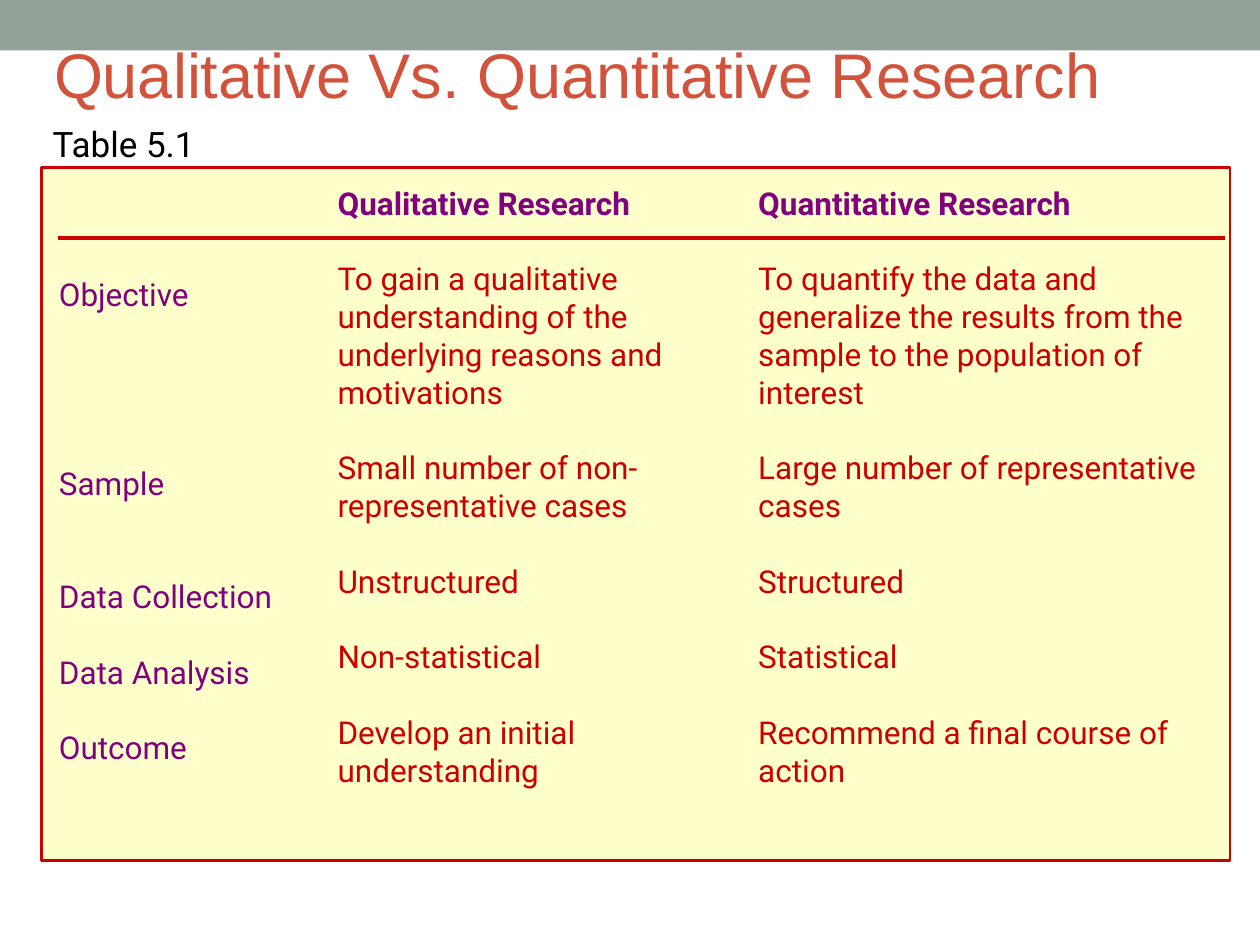
import pptx
import pptx.util
import pptx.dml.color
import pptx.enum.shapes
import pptx.enum.text
from lxml import etree

Pt = pptx.util.Pt

COLORS = {
    "band": "93A299", "title": "D2533C", "panel": "FFFFCC",
    "red": "CC0000", "purple": "800080", "black": "000000",
}
TITLE = "Qualitative Vs. Quantitative Research"
CAPTION = "Table 5.1"
HEADINGS = ("Qualitative Research", "Quantitative Research")
# aspect, qualitative, quantitative, lines the row takes with its gap
ROWS = [
    ("Objective",
     "To gain a qualitative understanding of the underlying reasons and motivations",
     "To quantify the data and generalize the results from the sample to the population of interest", 5),
    ("Sample", "Small number of non-representative cases",
     "Large number of representative cases", 3),
    ("Data Collection", "Unstructured", "Structured", 2),
    ("Data Analysis", "Non-statistical", "Statistical", 2),
    ("Outcome", "Develop an initial understanding", "Recommend a final course of action", 2),
]
LINE_HEIGHT = 21.6
COLUMNS = [(185.8, 265.7), (426.2, 281.5)]  # left, width
COLUMN_TOP, COLUMN_HEIGHT = 101.5, 352.8


def rgb(name):
    return pptx.dml.color.RGBColor.from_string(COLORS[name])


def add_box(slide, left, top, width, height, fill, line=None):
    box = slide.shapes.add_shape(pptx.enum.shapes.MSO_SHAPE.RECTANGLE,
                                 Pt(left), Pt(top), Pt(width), Pt(height))
    box.shadow.inherit = False
    box.fill.solid()
    box.fill.fore_color.rgb = rgb(fill)
    if line:
        box.line.color.rgb = rgb(line)
        box.line.width = Pt(1.5)
    else:
        box.line.fill.background()


def add_text(slide, left, top, width, height, entries, size=18, font="Roboto", wrap=True):
    """Each entry is (text, colour, bold, space before in points)."""
    frame = slide.shapes.add_textbox(Pt(left), Pt(top), Pt(width), Pt(height)).text_frame
    frame.word_wrap = wrap
    for index, (text, color, bold, gap) in enumerate(entries):
        paragraph = frame.paragraphs[0] if index == 0 else frame.add_paragraph()
        paragraph.text = text
        paragraph.space_before = Pt(gap)
        paragraph.font.name = font
        paragraph.font.size = Pt(size)
        paragraph.font.bold = bold
        paragraph.font.color.rgb = rgb(color)
    return frame


def add_rule(slide, left, right, y):
    rule = slide.shapes.add_connector(pptx.enum.shapes.MSO_CONNECTOR.STRAIGHT,
                                      Pt(left), Pt(y), Pt(right), Pt(y))
    rule.line.color.rgb = rgb("red")
    rule.line.width = Pt(2)
    etree.SubElement(rule.line._get_or_add_ln().getparent(),
                     pptx.oxml.ns.qn("a:effectLst"))


def main():
    deck = pptx.Presentation()
    deck.slide_width, deck.slide_height = Pt(720), Pt(540)
    slide = deck.slides.add_slide(deck.slide_layouts[6])

    add_box(slide, 0, 0, 720, 28.8, "band")
    title = add_text(slide, 23.8, 18, 693.4, 48.2, [(TITLE, "title", False, 0)], 36, "Arial")
    title.vertical_anchor = pptx.enum.text.MSO_ANCHOR.MIDDLE
    add_box(slide, 23.8, 95.8, 679, 396, "panel", "red")

    aspects = []
    previous_lines = 1
    for aspect, _, _, lines in ROWS:
        aspects.append((aspect, "purple", False, (previous_lines - 1) * LINE_HEIGHT))
        previous_lines = lines
    add_text(slide, 26.6, 153.4, 161.3, 309.6, aspects)

    for number, (heading, (left, width)) in enumerate(zip(HEADINGS, COLUMNS), start=1):
        entries = [(heading, "purple", True, 0)]
        entries += [(row[number], "red", False, LINE_HEIGHT) for row in ROWS]
        add_text(slide, left, COLUMN_TOP, width, COLUMN_HEIGHT, entries)

    add_rule(slide, 33.1, 699.8, 136.1)
    add_text(slide, 23, 66.2, 98.6, 31, [(CAPTION, "black", False, 0)], 20, wrap=False)
    deck.save("out.pptx")


if __name__ == "__main__":
    main()
